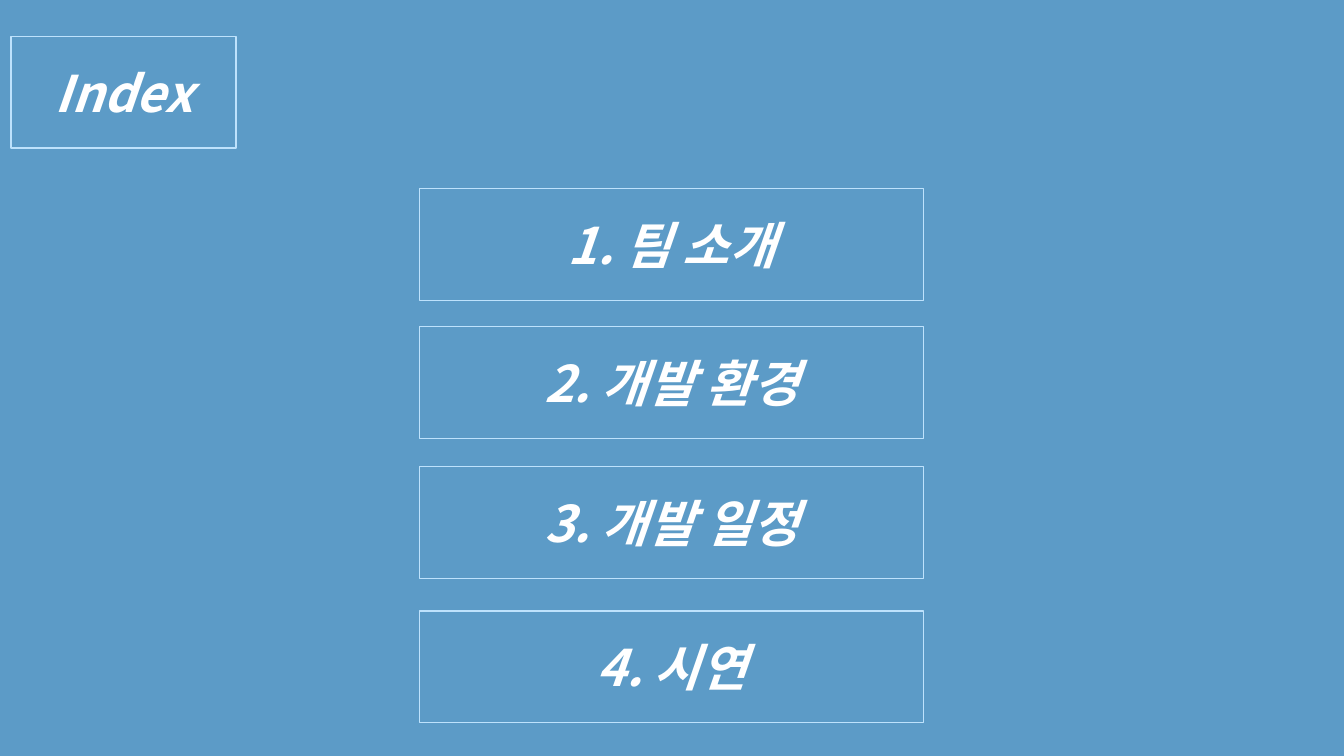
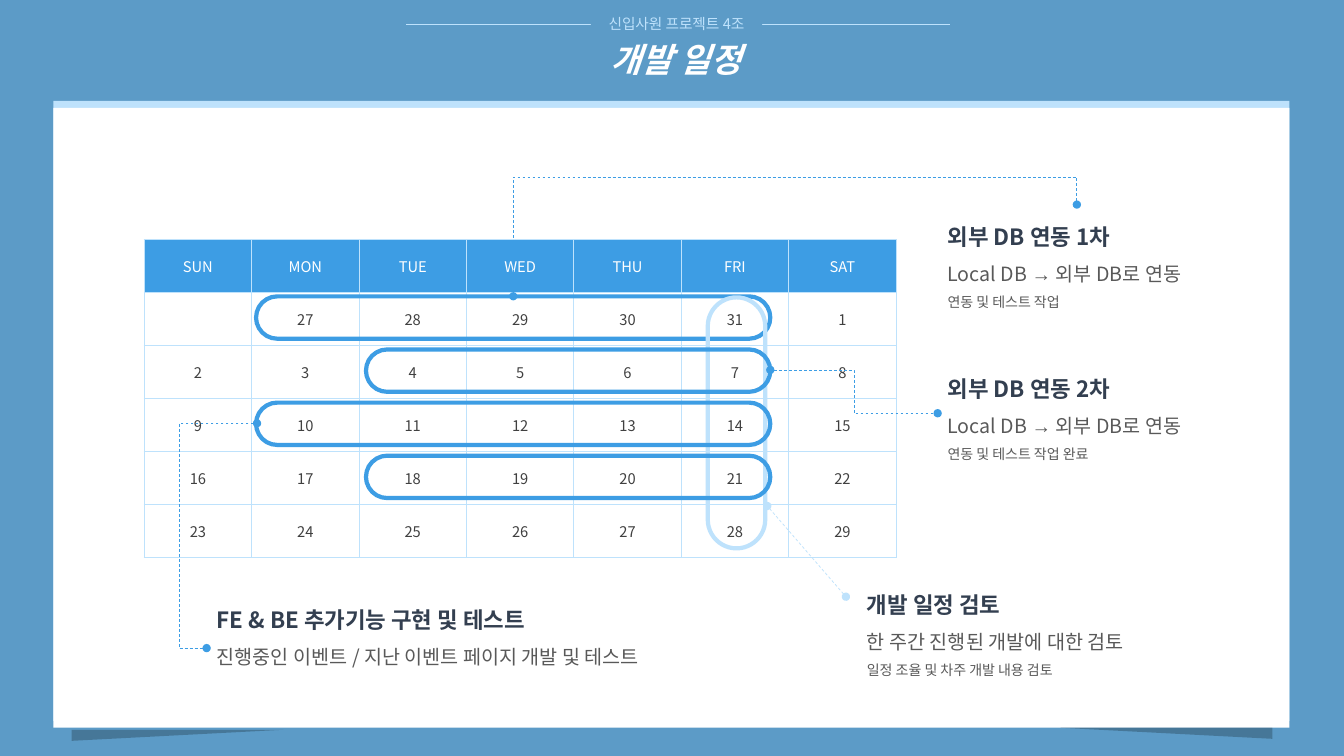
from lxml.etree import SubElement
from pptx import Presentation
from pptx.dml.color import RGBColor
from pptx.enum.dml import MSO_LINE
from pptx.enum.shapes import MSO_CONNECTOR, MSO_SHAPE
from pptx.enum.text import MSO_ANCHOR, MSO_AUTO_SIZE, PP_ALIGN
from pptx.oxml.ns import qn
from pptx.util import Inches, Pt

# Shared look
FONT = "Noto Sans CJK KR"
SKY, PALE, BLUE, WHITE = "5C9BC7", "BEE2FC", "3D9DE4", "FFFFFF"
NAVY, GREY, DARK = "333F50", "595959", "404040"

INDEX_STYLE = {"size": Pt(36), "bold": True, "italic": True, "color": WHITE}
TITLE_STYLE = {**INDEX_STYLE, "size": Pt(24)}
TAG_STYLE = {"size": Pt(10.5), "color": PALE}
HEADER_STYLE = {"size": Pt(10.5), "color": WHITE}
DAY_STYLE = {"size": Pt(10.5), "color": DARK}
CALLOUT_STYLES = [
    {"size": Pt(16), "bold": True, "color": NAVY},
    {"size": Pt(14), "bold": False, "color": GREY},
    {"size": Pt(10), "bold": False, "color": GREY},
]

# Calendar grid
CAL_LEFT, CAL_TOP, CAL_WIDTH, CAL_HEIGHT = 1.43, 2.38, 7.46, 3.15
WEEKDAYS = ["SUN", "MON", "TUE", "WED", "THU", "FRI", "SAT"]
DAYS = ["", *range(27, 32), *range(1, 30)]
MON, TUE, PILL_RIGHT = 2.54, 3.63, 7.64


def rgb(value):
    return RGBColor.from_string(value)


def box(values):
    return [Inches(value) for value in values]


def paint(shape, fill=None, line=None, width=1):
    """Set fill and outline; None means no paint."""
    if fill:
        shape.fill.solid()
        shape.fill.fore_color.rgb = rgb(fill)
    else:
        shape.fill.background()
    if line:
        shape.line.color.rgb = rgb(line)
        shape.line.width = Pt(width)
    else:
        shape.line.fill.background()


def add_run(paragraph, text, style, font=FONT):
    run = paragraph.add_run()
    run.text = text
    for name, value in {**style, "name": font}.items():
        if name == "color":
            run.font.color.rgb = rgb(value)
        else:
            setattr(run.font, name, value)
    SubElement(run.font._element, qn("a:ea"), typeface=font)


def write(frame, text, style):
    """Put one centred line in a frame."""
    frame.vertical_anchor = MSO_ANCHOR.MIDDLE
    frame.paragraphs[0].alignment = PP_ALIGN.CENTER
    add_run(frame.paragraphs[0], text, style)


def add_figure(slide, kind, place, **look):
    figure = slide.shapes.add_shape(kind, *box(place))
    figure.shadow.inherit = False
    paint(figure, **look)
    return figure


def set_title(slide, text, place, style):
    title = slide.shapes.title
    title.left, title.top, title.width, title.height = box(place)
    write(title.text_frame, text, style)
    title.text_frame.auto_size = MSO_AUTO_SIZE.NONE
    return title


def add_link(slide, begin, end, color, bend=None, upright=False, dots=True):
    """Line from begin to end; bend places the elbow, upright starts it vertically."""
    (x1, y1), (x2, y2) = begin, end
    if upright:
        # Ends of the connector before its quarter turn
        mid_x, mid_y = (x1 + x2) / 2, (y1 + y2) / 2
        dx, dy = x1 - mid_x, y1 - mid_y
        x1, y1, x2, y2 = mid_x + dy, mid_y - dx, mid_x - dy, mid_y + dx
    kind = MSO_CONNECTOR.STRAIGHT if bend is None else MSO_CONNECTOR.ELBOW
    link = slide.shapes.add_connector(kind, *box([x1, y1, x2, y2]))
    link.line.color.rgb = rgb(color)
    link.line.width = Pt(0.5)
    properties = link._element.spPr
    if upright:
        properties.find(qn("a:xfrm")).set("rot", "5400000")
    if bend is not None:
        guides = properties.find(qn("a:prstGeom")).find(qn("a:avLst"))
        SubElement(guides, qn("a:gd"), name="adj1", fmla=f"val {round(bend * 100000)}")
    if dots:
        link.line.dash_style = MSO_LINE.DASH
        for tip in ("a:headEnd", "a:tailEnd"):
            SubElement(properties.find(qn("a:ln")), qn(tip), type="oval")
    SubElement(properties, qn("a:effectLst"))


def add_pill(slide, place, color):
    pill = add_figure(slide, MSO_SHAPE.ROUNDED_RECTANGLE, place, line=color, width=3)
    pill.adjustments[0] = 0.5


def add_week_pill(slide, week, left):
    add_pill(slide, (left, 2.94 + 0.527 * week, PILL_RIGHT - left, 0.42), BLUE)


def add_callout(slide, place, lines):
    frame = slide.shapes.add_textbox(*box(place)).text_frame
    frame.word_wrap = True
    frame.auto_size = MSO_AUTO_SIZE.SHAPE_TO_FIT_TEXT
    for number, (line, style) in enumerate(zip(lines, CALLOUT_STYLES)):
        paragraph = frame.add_paragraph() if number else frame.paragraphs[0]
        paragraph.line_spacing = 1.5
        before, arrow, after = line.partition("→")
        add_run(paragraph, before, style)
        if arrow:
            add_run(paragraph, arrow, style, "Arial")
            add_run(paragraph, after, style)


def add_page(slide):
    """White page with a pale upper edge and two lifted corners."""
    page = add_figure(slide, MSO_SHAPE.RECTANGLE, (0.53, 1.07, 12.26, 6.15), fill=WHITE)
    effects = page._element.spPr.find(qn("a:effectLst"))
    edge = SubElement(effects, qn("a:outerShdw"), blurRad="0", dist=str(Pt(5)),
                      dir="16200000", algn="b", rotWithShape="0")
    SubElement(edge, qn("a:srgbClr"), val=PALE)
    for left, top, flips in ((0.71, 7.24, ["flipV"]), (10.52, 7.22, ["flipH", "flipV"])):
        corner = add_figure(slide, MSO_SHAPE.RIGHT_TRIANGLE, (left, top, 2.1, 0.11), fill="000000")
        properties = corner._element.spPr
        for flip in flips:
            properties.find(qn("a:xfrm")).set(flip, "1")
        shade = properties.find(qn("a:solidFill")).find(qn("a:srgbClr"))
        SubElement(shade, qn("a:alpha"), val="23000")


def add_cell_borders(cell):
    properties = cell._tc.get_or_add_tcPr()
    for position, side in enumerate(("a:lnL", "a:lnR", "a:lnT", "a:lnB")):
        border = SubElement(properties, qn(side), w=str(Pt(0.75)))
        fill = SubElement(border, qn("a:solidFill"))
        SubElement(fill, qn("a:srgbClr"), val=PALE)
        properties.insert(position, border)


def add_calendar(slide):
    rows = 1 + len(DAYS) // len(WEEKDAYS)
    place = box((CAL_LEFT, CAL_TOP, CAL_WIDTH, CAL_HEIGHT))
    calendar = slide.shapes.add_table(rows, len(WEEKDAYS), *place).table
    for number, (cell, entry) in enumerate(zip(calendar.iter_cells(), WEEKDAYS + DAYS)):
        header = number < len(WEEKDAYS)
        cell.fill.solid()
        cell.fill.fore_color.rgb = rgb(BLUE if header else WHITE)
        add_cell_borders(cell)
        cell.vertical_anchor = MSO_ANCHOR.MIDDLE
        paragraph = cell.text_frame.paragraphs[0]
        paragraph.alignment = PP_ALIGN.CENTER
        if entry:
            add_run(paragraph, str(entry), HEADER_STYLE if header else DAY_STYLE)


def build_index(slide):
    title = set_title(slide, "Index", (0.11, 0.36, 2.23, 1.11), INDEX_STYLE)
    paint(title, line=PALE)
    chapters = {"1. 팀 소개": 1.87, "2. 개발 환경": 3.24, "3. 개발 일정": 4.63, "4. 시연": 6.06}
    for chapter, top in chapters.items():
        frame = add_figure(slide, MSO_SHAPE.RECTANGLE, (4.16, top, 5, 1.11), line=PALE)
        write(frame.text_frame, chapter, INDEX_STYLE)


def build_schedule(slide):
    # Page and heading
    add_page(slide)
    set_title(slide, "개발 일정", (3.37, 0.34, 6.67, 0.5), TITLE_STYLE)
    add_link(slide, (4.03, 0.24), (9.42, 0.24), PALE, dots=False)
    tag = add_figure(slide, MSO_SHAPE.RECTANGLE, (5.86, 0.09, 1.7, 0.28), fill=SKY)
    tag.text_frame.word_wrap = False
    write(tag.text_frame, "신입사원 프로젝트 4조", TAG_STYLE)

    # Calendar with its marked weeks and Fridays
    add_calendar(slide)
    add_week_pill(slide, 0, MON)
    add_pill(slide, (7.02, 2.95, 0.57, 2.49), PALE)
    for week, left in ((1, TUE), (2, MON), (3, TUE)):
        add_week_pill(slide, week, left)

    # Links from calendar to callouts
    add_link(slide, (8.39, 5.92), (7.61, 5.02), PALE)
    add_link(slide, (5.09, 2.94), (10.68, 2.03), BLUE, bend=1.3, upright=True)
    add_link(slide, (PILL_RIGHT, 3.67), (9.3, 4.1), BLUE, bend=0.5)
    add_link(slide, (2.55, 4.2), (2.05, 6.43), BLUE, bend=1.55)

    # Callouts
    sync = "Local DB → 외부 DB로 연동"
    add_callout(slide, (9.3, 2.03, 2.77, 1.11),
                ["외부 DB 연동 1차", sync, "연동 및 테스트 작업"])
    add_callout(slide, (9.3, 3.54, 2.77, 1.11),
                ["외부 DB 연동 2차", sync, "연동 및 테스트 작업 완료"])
    add_callout(slide, (8.5, 5.68, 3.47, 1.11),
                ["개발 일정 검토", "한 주간 진행된 개발에 대한 검토", "일정 조율 및 차주 개발 내용 검토"])
    add_callout(slide, (2.05, 5.83, 5.14, 0.86),
                ["FE & BE 추가기능 구현 및 테스트", "진행중인 이벤트 / 지난 이벤트 페이지 개발 및 테스트"])


def main():
    deck = Presentation()
    deck.slide_width, deck.slide_height = box((13.33, 7.5))
    background = deck.slide_master.background.fill
    background.solid()
    background.fore_color.rgb = rgb(SKY)
    title_only = deck.slide_layouts[5]
    for build in (build_index, build_schedule):
        build(deck.slides.add_slide(title_only))
    deck.save("out.pptx")


if __name__ == "__main__":
    main()
